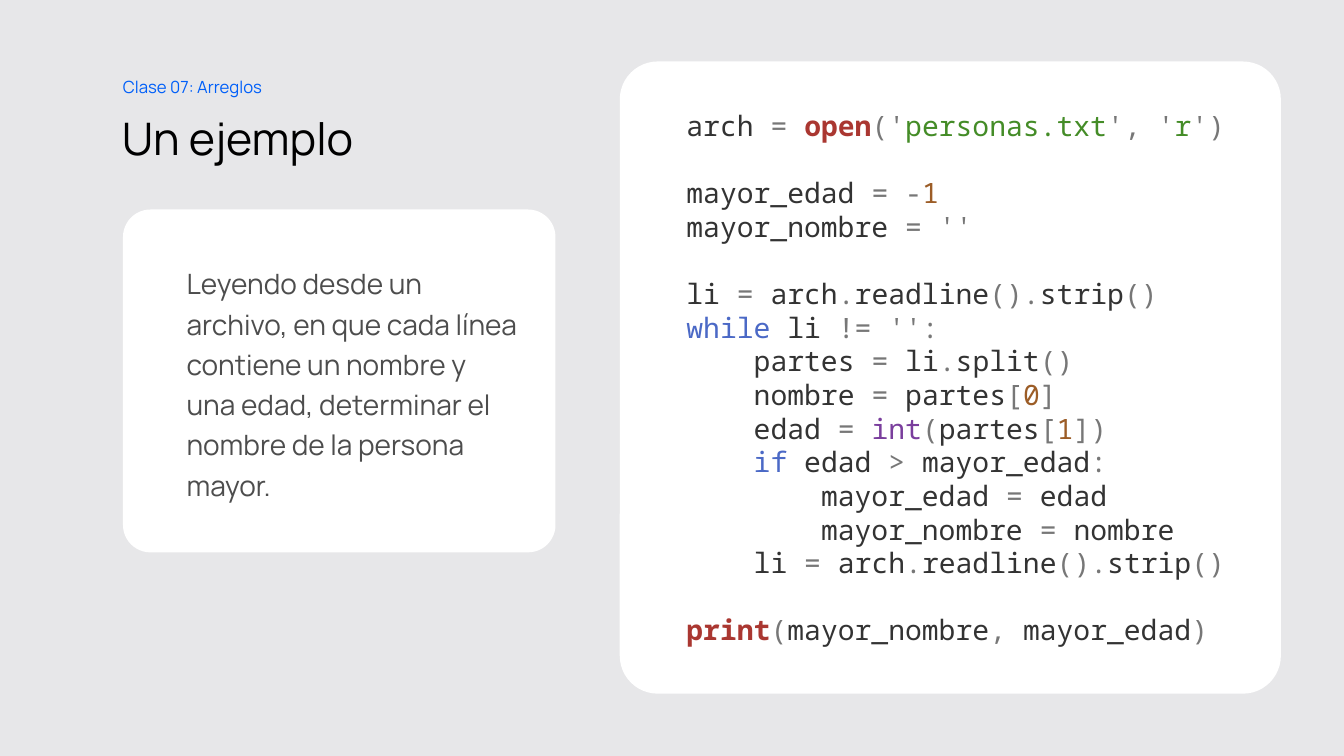
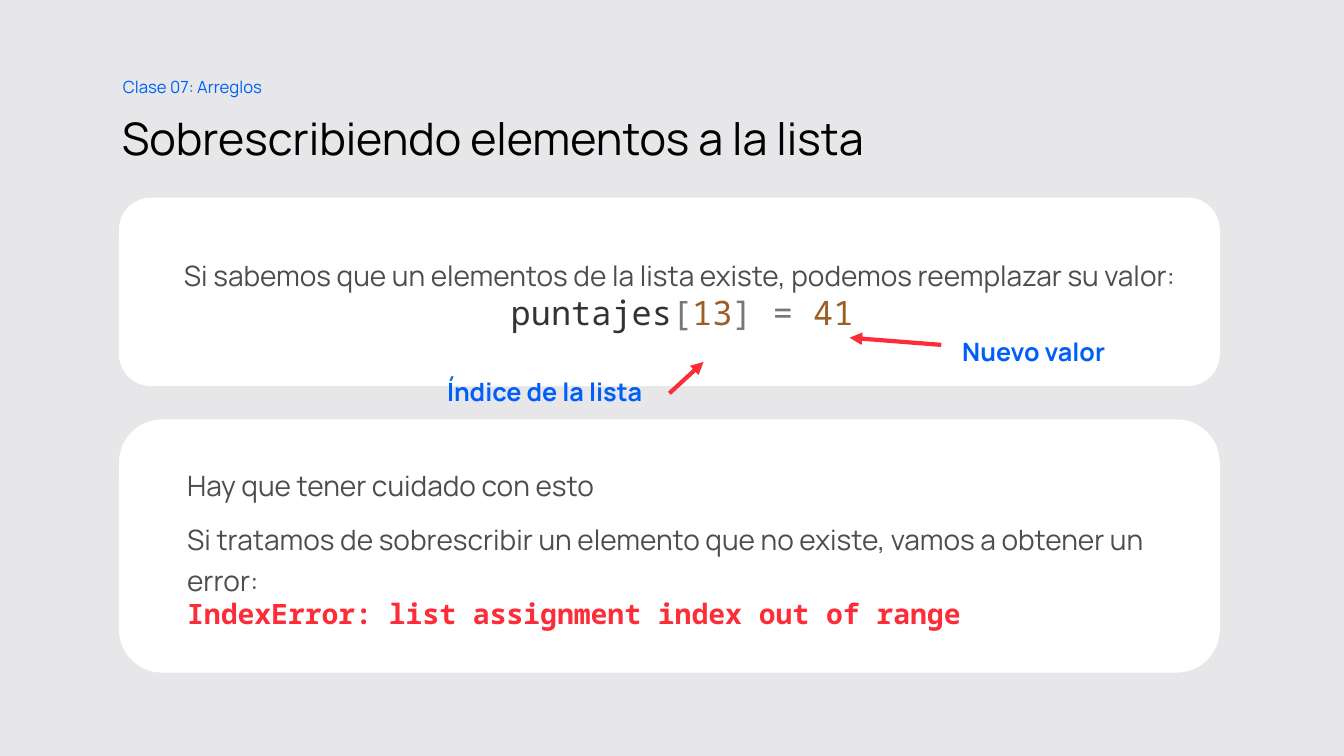
from itertools import groupby

from lxml.etree import SubElement
from pptx import Presentation
from pptx.dml.color import RGBColor
from pptx.enum.shapes import MSO_CONNECTOR, MSO_SHAPE
from pptx.enum.text import MSO_ANCHOR, PP_ALIGN
from pptx.oxml.ns import qn
from pptx.util import Cm, Pt

COLORS = {
    "background": "E7E7E9",
    "card": "FFFFFF",
    "title": "000000",
    "body": "4D4D4D",
    "accent": "005FF9",
    "alert": "FC2C38",
    "name": "333333",
    "operator": "777777",
    "call": "AA3731",
    "string": "448C27",
    "number": "9C5D27",
    "keyword": "4B69C6",
    "type": "7A3E9D",
}
SANS, MONO = "Manrope", "Noto Sans Mono"
STYLES = {
    "title": {"name": SANS, "size": Pt(32), "bold": False},
    "course": {"name": SANS, "size": Pt(12), "bold": False},
    "body": {"name": SANS, "size": Pt(20), "bold": False},
    "label": {"name": SANS, "size": Pt(18), "bold": True},
    "code": {"name": MONO, "size": Pt(20), "bold": False},
    "formula": {"name": MONO, "size": Pt(24), "bold": False},
    "error": {"name": MONO, "size": Pt(20), "bold": True},
}
WORDS = {"open": "call", "print": "call", "while": "keyword", "if": "keyword", "int": "type"}
BODY_FORMAT = {"line_spacing": 1.2}
NEXT_BODY_FORMAT = {"line_spacing": 1.2, "space_before": Pt(10)}
CARD_FRAME = {
    "margin_left": Cm(1.4),
    "margin_right": Cm(0.76),
    "margin_top": 0,
    "margin_bottom": 0,
    "vertical_anchor": MSO_ANCHOR.MIDDLE,
    "word_wrap": True,
}
CODE = """arch = open('personas.txt', 'r')

mayor_edad = -1
mayor_nombre = ''

li = arch.readline().strip()
while li != '':
    partes = li.split()
    nombre = partes[0]
    edad = int(partes[1])
    if edad > mayor_edad:
        mayor_edad = edad
        mayor_nombre = nombre
    li = arch.readline().strip()

print(mayor_nombre, mayor_edad)"""


def rgb(color):
    return RGBColor.from_string(COLORS[color])


def set_attrs(obj, values):
    for key, value in values.items():
        setattr(obj, key, value)


def is_word(char):
    return char.isalnum() or char == "_"


def tokens(line):
    for i, part in enumerate(line.split("'")):
        if i:
            yield "'", "operator"
        if i % 2:
            yield part, "string"
            continue
        for word, chars in groupby(part, is_word):
            text = "".join(chars)
            if not word:
                yield text, "operator"
            elif text.isdigit():
                yield text, "number"
            else:
                yield text, WORDS.get(text, "name")


def write(tf, runs, style, fmt):
    p = tf.paragraphs[0]
    if p.runs:
        p = tf.add_paragraph()
    set_attrs(p, fmt)
    for text, color in runs:
        if text:
            r = p.add_run()
            r.text = text
            set_attrs(r.font, STYLES[style])
            r.font.color.rgb = rgb(color)
            if color == "call":
                r.font.bold = True


def add_text(s, box, text, style, color, frame, fmt):
    tf = s.shapes.add_textbox(*map(Cm, box)).text_frame
    set_attrs(tf, {"word_wrap": True, **frame})
    write(tf, [(text, color)], style, fmt)


def add_label(s, box, text):
    add_text(s, box, text, "label", "accent", {}, {})


def add_card(s, box, corner):
    sp = s.shapes.add_shape(MSO_SHAPE.ROUNDED_RECTANGLE, *map(Cm, box))
    sp.adjustments[0] = corner
    sp.shadow.inherit = False
    sp.fill.solid()
    sp.fill.fore_color.rgb = rgb("card")
    sp.line.fill.background()
    tf = sp.text_frame
    set_attrs(tf, CARD_FRAME)
    return tf


def write_body(tf, *texts):
    for i, text in enumerate(texts):
        fmt = {"alignment": PP_ALIGN.LEFT, **(NEXT_BODY_FORMAT if i else BODY_FORMAT)}
        write(tf, [(text, "body")], "body", fmt)


def write_code(tf, code):
    gap = 0
    for line in code.splitlines():
        if line:
            fmt = {"alignment": PP_ALIGN.LEFT, "space_before": Pt(gap)}
            write(tf, tokens(line), "code", fmt)
        gap = 0 if line else 24


def add_arrow(s, start, end):
    c = s.shapes.add_connector(MSO_CONNECTOR.STRAIGHT, *map(Cm, start + end))
    c.line.color.rgb = rgb("alert")
    c.line.width = Pt(3)
    SubElement(c.line._get_or_add_ln(), qn("a:tailEnd"), type="triangle")
    SubElement(c._element.spPr, qn("a:effectLst"))


def add_slide(prs, title):
    s = prs.slides.add_slide(prs.slide_layouts[6])
    s.background.fill.solid()
    s.background.fill.fore_color.rgb = rgb("background")
    add_text(s, (3.07, 2.54, 27.56, 1.9), title, "title", "title",
             {"margin_left": 0, "margin_top": Cm(0.25), "vertical_anchor": MSO_ANCHOR.MIDDLE},
             {"line_spacing": 0.9})
    add_text(s, (3.1, 1.7, 4.09, 0.86), "Clase 07: Arreglos", "course", "accent",
             {"margin_left": 0}, BODY_FORMAT)
    return s


def add_example(prs):
    s = add_slide(prs, "Un ejemplo")
    write_body(add_card(s, (3.1, 5.28, 10.9, 8.64), 0.08),
               "Leyendo desde un archivo, en que cada línea contiene un nombre y una edad, "
               "determinar el nombre de la persona mayor.")
    write_code(add_card(s, (15.62, 1.55, 16.66, 15.93), 0.06), CODE)


def add_overwriting(prs):
    s = add_slide(prs, "Sobrescribiendo elementos a la lista")
    tf = add_card(s, (3, 10.57, 27.74, 6.38), 0.17)
    write_body(tf, "Hay que tener cuidado con esto",
               "Si tratamos de sobrescribir un elemento que no existe, vamos a obtener un error:")
    write(tf, [("IndexError: list assignment index out of range", "alert")], "error",
          {"alignment": PP_ALIGN.LEFT})

    tf = add_card(s, (3, 4.98, 27.74, 4.75), 0.17)
    write_body(tf, "Si sabemos que un elementos de la lista existe, podemos reemplazar su valor:")
    write(tf, tokens("puntajes[13] = 41"), "formula", {"alignment": PP_ALIGN.CENTER})

    add_arrow(s, (16.87, 9.91), (17.73, 9.12))
    add_arrow(s, (23.72, 8.69), (21.41, 8.51))
    add_label(s, (11.02, 9.37, 5.84, 1.02), "Índice de la lista")
    add_label(s, (24, 8.36, 4.47, 1.02), "Nuevo valor")


def main():
    prs = Presentation()
    prs.slide_width, prs.slide_height = Cm(33.87), Cm(19.05)
    add_example(prs)
    add_overwriting(prs)
    prs.save("out.pptx")


if __name__ == "__main__":
    main()
